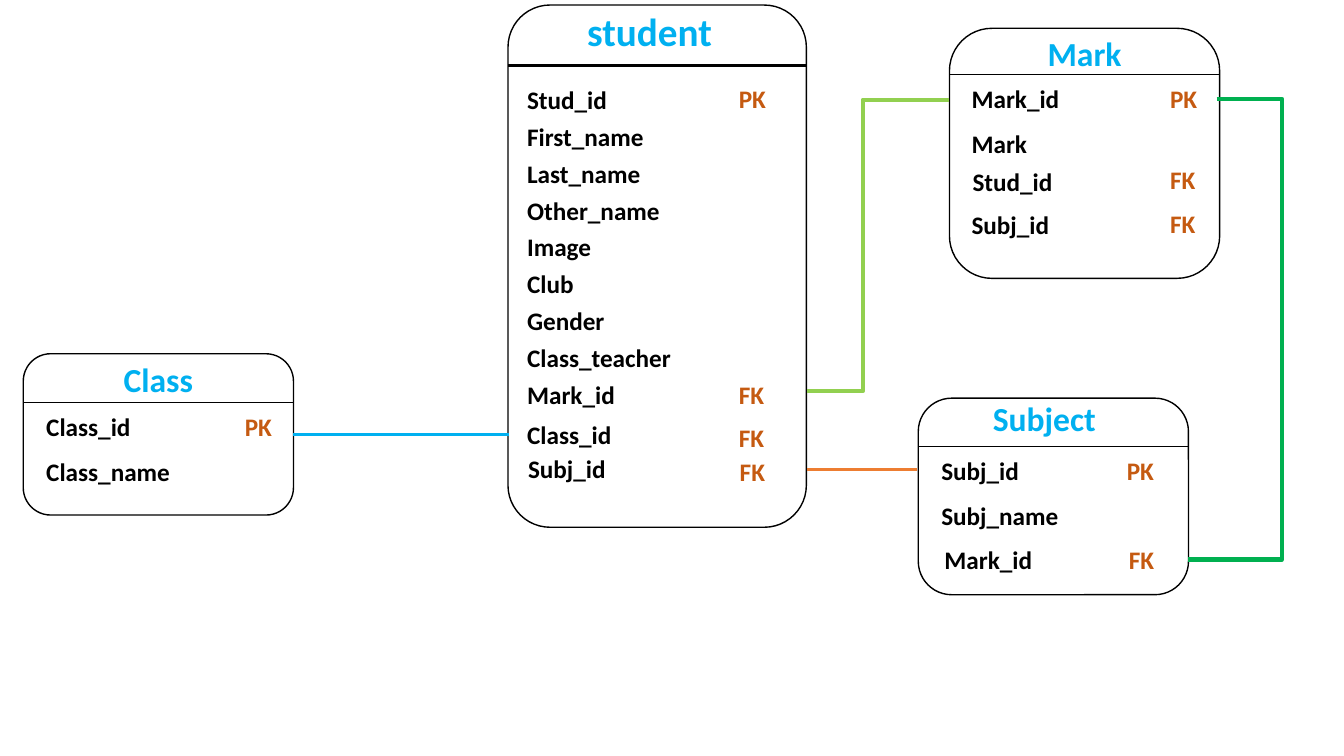
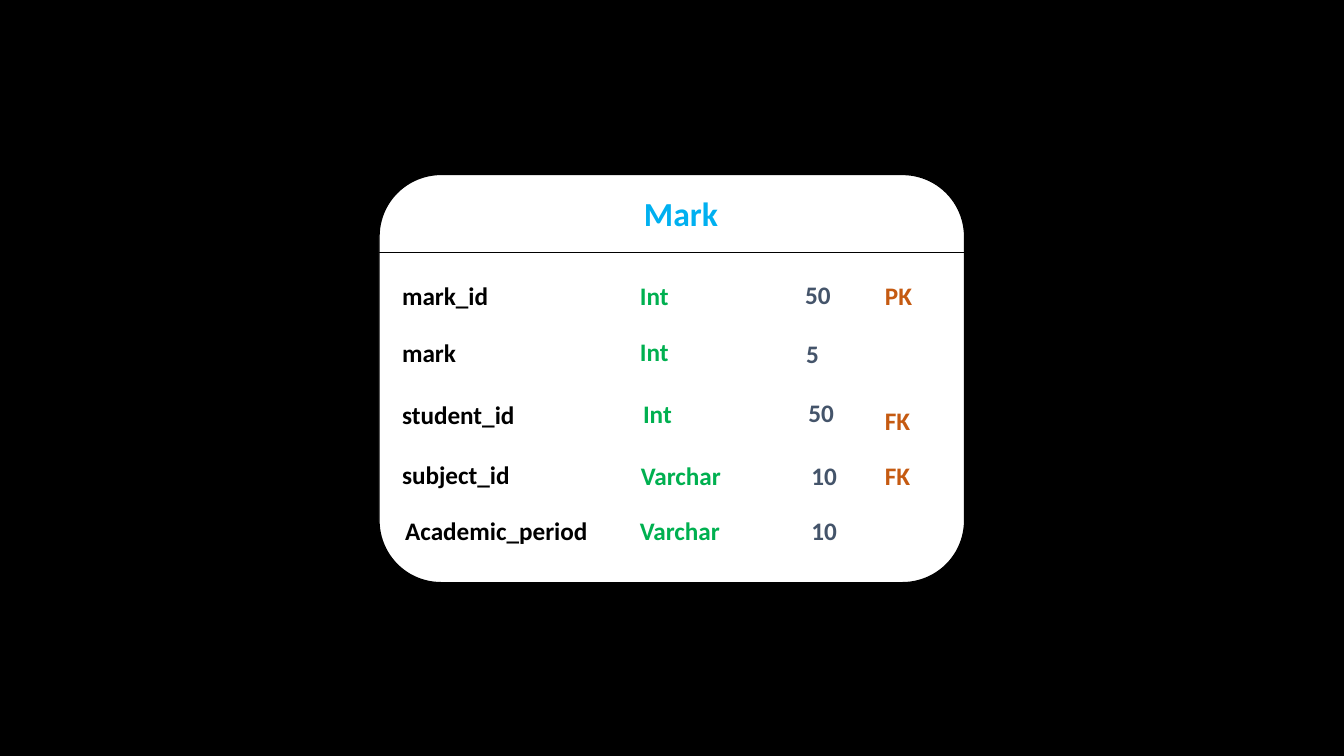
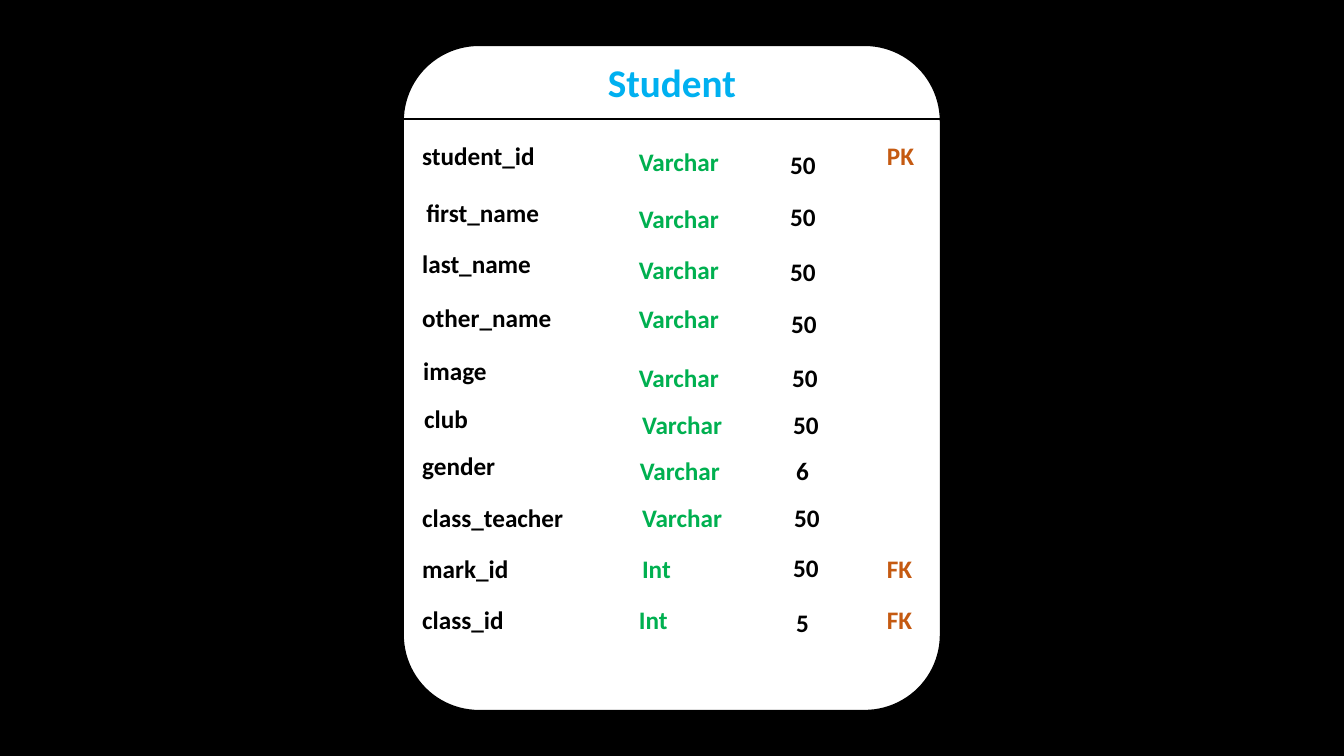
import pptx
import pptx.dml.color
import pptx.enum.shapes
import pptx.enum.text
import pptx.oxml
import pptx.oxml.ns
import pptx.util
import lxml.etree

Pt = pptx.util.Pt
COLORS = {
    "white": "FFFFFF", "black": "000000", "title": "00B0F0", "key": "C55A11",
    "type": "00B050", "slate": "44546A", "orange": "ED7D31", "lime": "92D050",
}
FRAME_FORMAT = {"word_wrap": True,
                "auto_size": pptx.enum.text.MSO_AUTO_SIZE.SHAPE_TO_FIT_TEXT}
FONT_FORMAT = {"name": "Calibri", "bold": True}
LINKS = pptx.enum.shapes.MSO_CONNECTOR
ALIGN = pptx.enum.text.PP_ALIGN


def add_label(shapes, text, left, top, width, size, color, align=ALIGN.LEFT):
    label = shapes.add_textbox(Pt(left), Pt(top), Pt(width), Pt(1.2 * size + 7.2))
    for name, value in FRAME_FORMAT.items():
        setattr(label.text_frame, name, value)
    paragraph = label.text_frame.paragraphs[0]
    paragraph.alignment = align
    run = paragraph.add_run()
    run.text = text
    for name, value in FONT_FORMAT.items():
        setattr(run.font, name, value)
    run.font.size = Pt(size)
    run.font.color.rgb = pptx.dml.color.RGBColor.from_string(COLORS[color])


def add_line(shapes, kind, start, end, color, weight):
    line = shapes.add_connector(kind, Pt(start[0]), Pt(start[1]), Pt(end[0]), Pt(end[1]))
    line.line.color.rgb = pptx.dml.color.RGBColor.from_string(COLORS[color])
    line.line.width = Pt(weight)
    lxml.etree.SubElement(line.element.spPr, pptx.oxml.ns.qn("a:effectLst"))
    return line


# Cards: box and title as (left, top, width[, height]); a column is
# (left, width, color, entries); an entry is (text, top[, shift to the right])
student_fields = ["Stud_id", "First_name", "Last_name", "Other_name", "Image",
                  "Club", "Gender", "Class_teacher", "Mark_id"]
overview = [
    {"title": "Class", "size": 24, "title_at": (74.2, 252.7, 77.8),
     "box": (16.6, 252.7, 193, 115.2), "rule": (287.3, 0.5), "columns": [
         (25.9, 109, "black", [("Class_id", 290.2), ("Class_name", 322.6)]),
         (167.8, 36.7, "key", [("PK", 290.2)])]},
    {"title": "student", "size": 28, "title_at": (407.5, 1.4, 113),
     "box": (362.9, 3.6, 213.1, 373), "corner": 0.141, "rule": (46.8, 1.5), "columns": [
         (369.4, 123, "black",
          [(field, 56.9 + 26.28 * row) for row, field in enumerate(student_fields)]
          + [("Class_id", 295.9), ("Subj_id", 320.4, 0.7)]),
         (520.6, 35.3, "key",
          [("PK", 56.2), ("FK", 267.1), ("FK", 298.1), ("FK", 322.6, 0.7)])]},
    {"title": "Mark", "size": 24, "title_at": (735.8, 20.2, 77.8),
     "box": (678.2, 20.2, 193, 178.6), "rule": (53.3, 0.5), "columns": [
         (686.9, 109, "black", [("Mark_id", 56.2), ("Mark", 87.8),
                                ("Stud_id", 115.2, 0.7), ("Subj_id", 146.2)]),
         (828.7, 36.7, "key", [("PK", 56.2), ("FK", 113.8), ("FK", 145.4)])]},
    {"title": "Subject", "size": 24, "title_at": (686.2, 280.8, 119.5),
     "box": (655.9, 284.4, 193, 140.4), "rule": (319, 0.5), "columns": [
         (665.3, 123, "black", [("Subj_id", 321.8), ("Subj_name", 354.2),
                                ("Mark_id", 385.2, 2.2)]),
         (797.8, 35.3, "key", [("PK", 321.8), ("FK", 385.2, 1.4)])]},
]
mark_detail = [
    {"title": "Mark", "size": 24, "title_at": (446.4, 134.6, 79.9),
     "box": (270.7, 124.6, 418.3, 291.6), "corner": 0.152, "rule": (180, 0.5), "columns": [
         (280.1, 148, "black", [("mark_id", 196.6), ("mark", 237.6), ("student_id", 281.5),
                                ("subject_id", 324.7), ("Academic_period", 364.3, 2.2)]),
         (450, 82, "type", [("Int", 196.6), ("Int", 236.9), ("Int", 280.8, 2.2),
                            ("Varchar", 325.4, 0.7), ("Varchar", 364.3)]),
         (568.1, 38, "slate", [("50", 195.8), ("5", 238.3, 0.7), ("50", 280.1, 2.2),
                               ("10", 325.4, 4.3), ("10", 364.3, 4.3)]),
         (625, 38, "key", [("PK", 196.6), ("FK", 285.8), ("FK", 325.4)])]},
]
student_detail = [
    {"title": "Student", "size": 28, "title_at": (423.4, 38.2, 113),
     "box": (288, 32.4, 383.8, 475.2), "corner": 0.141, "rule": (85, 1.5), "columns": [
         (294.5, 123, "black", [
             ("student_id", 96.5), ("first_name", 137.5, 2.9), ("last_name", 173.5),
             ("other_name", 212.4), ("image", 250.6, 0.7), ("club", 284.4, 1.4),
             ("gender", 318.2), ("class_teacher", 355), ("mark_id", 391.7),
             ("class_id", 428.4)]),
         (449.3, 80.6, "type", [
             ("Varchar", 100.8), ("Varchar", 141.8), ("Varchar", 177.8),
             ("Varchar", 213.1), ("Varchar", 255.6), ("Varchar", 288.7, 2.2),
             ("Varchar", 321.8, 0.7), ("Varchar", 355, 2.2), ("Int", 391.7, 2.2),
             ("Int", 428.4)]),
         (557.3, 35.3, "black", [
             ("50", 103), ("50", 140.4), ("50", 179.3), ("50", 216.7, 0.7),
             ("50", 255.6, 1.4), ("50", 288.7, 2.2), ("6", 321.8, 4.3),
             ("50", 355, 2.9), ("50", 391, 2.2), ("5", 430.6, 4.3)]),
         (626.4, 35.3, "key", [("PK", 96.5), ("FK", 391.7), ("FK", 428.4)])]},
]

deck = pptx.Presentation()
deck.slide_width, deck.slide_height = Pt(960), Pt(540)

# Slides with their cards
slides, boxes = [], {}
for backdrop, cards in [("white", overview), ("black", mark_detail), ("black", student_detail)]:
    slide = deck.slides.add_slide(deck.slide_layouts[6])
    slides.append(slide)
    slide.background.fill.solid()
    slide.background.fill.fore_color.rgb = pptx.dml.color.RGBColor.from_string(COLORS[backdrop])
    for card in cards:
        parts = slide.shapes.add_group_shape().shapes
        left, top, width, height = card["box"]
        box = parts.add_shape(pptx.enum.shapes.MSO_SHAPE.ROUNDED_RECTANGLE,
                              Pt(left), Pt(top), Pt(width), Pt(height))
        box.adjustments[0] = card.get("corner", 0.17)
        box.shadow.inherit = False
        box.fill.solid()
        box.fill.fore_color.rgb = pptx.dml.color.RGBColor.from_string(COLORS["white"])
        box.line.color.rgb = pptx.dml.color.RGBColor.from_string(COLORS["black"])
        box.line.width = Pt(1)
        boxes[slide.slide_id, card["title"]] = box
        rule_top, weight = card["rule"]
        add_line(parts, LINKS.STRAIGHT, (left, rule_top), (left + width, rule_top),
                 "black", weight)
        add_label(parts, card["title"], *card["title_at"], card["size"], "title", ALIGN.CENTER)
        for column_left, column_width, color, entries in card["columns"]:
            for text, entry_top, *shift in entries:
                add_label(parts, text, column_left + sum(shift), entry_top,
                          column_width, 18, color)

# Relations between the tables on the overview
shapes = slides[0].shapes
add_line(shapes, LINKS.STRAIGHT, (655.2, 335.5), (576.7, 335.5), "orange", 2.25)
class_link = add_line(shapes, LINKS.STRAIGHT, (363.6, 310.3), (209.6, 310.3), "title", 2.25)
class_link.end_connect(boxes[slides[0].slide_id, "Class"], 3)

# Elbows: the middle leg stands at x = turn
for start, end, turn, color in [((678.2, 71.3), (576.7, 279.4), 616.3, "lime"),
                                ((869, 70.6), (848.9, 399.6), 915.8, "type")]:
    elbow = add_line(shapes, LINKS.ELBOW, start, end, color, 3)
    bend = round((turn - start[0]) / (end[0] - start[0]) * 100000)
    geometry = elbow.element.spPr.find(pptx.oxml.ns.qn("a:prstGeom"))
    adjustments = geometry.find(pptx.oxml.ns.qn("a:avLst"))
    if adjustments is None:
        adjustments = lxml.etree.SubElement(geometry, pptx.oxml.ns.qn("a:avLst"))
    lxml.etree.SubElement(adjustments, pptx.oxml.ns.qn("a:gd"),
                          name="adj1", fmla=f"val {bend}")

deck.save("out.pptx")
